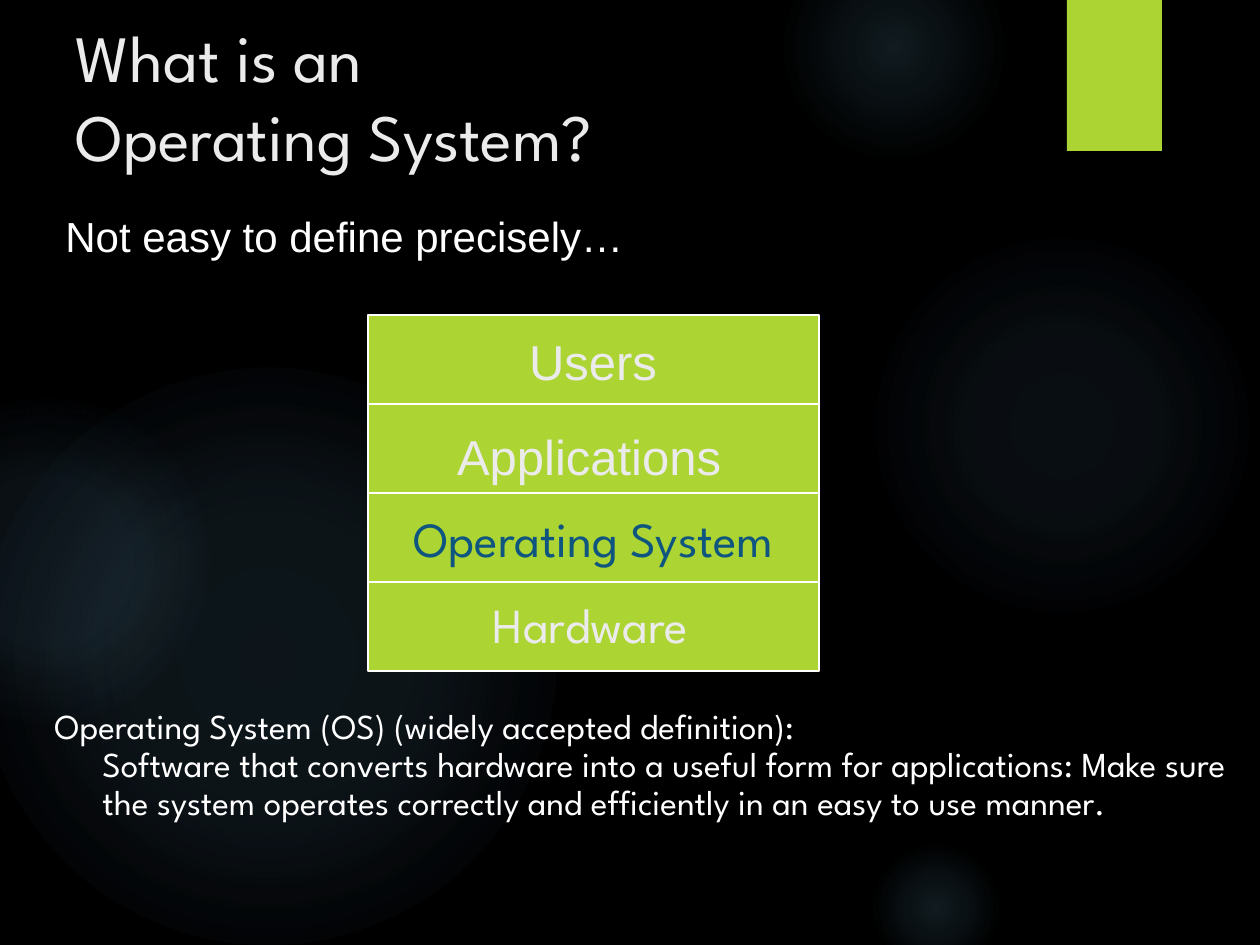
import pptx
import pptx.dml.color
import pptx.enum.shapes
import pptx.enum.text
import pptx.oxml
import pptx.oxml.ns
import pptx.util

PX = 914400 / 126
COLORS = {"black": "000000", "glow": "7AC4F0", "lime": "ACD433",
          "white": "FFFFFF", "pale": "EBEBEB", "blue": "0E5580"}
SANS, DISPLAY = "Arial", "League Spartan"
SHAPE = pptx.enum.shapes.MSO_SHAPE
ALIGN = pptx.enum.text.PP_ALIGN
ANCHOR = pptx.enum.text.MSO_ANCHOR


def emu(px):
    return pptx.util.Emu(round(px * PX))


def rgb(name):
    return pptx.dml.color.RGBColor.from_string(COLORS[name])


class Deck:
    def __init__(self, width, height):
        self.prs = pptx.Presentation()
        self.prs.slide_width, self.prs.slide_height = emu(width), emu(height)
        self.s = self.prs.slides.add_slide(self.prs.slide_layouts[5])
        fill = self.s.background.fill
        fill.solid()
        fill.fore_color.rgb = rgb("black")

    def paragraph(self, tf, lines, size, font, color, align=ALIGN.LEFT,
                  anchor=ANCHOR.TOP, wrap=True):
        """Fill the frame with one paragraph whose lines are parted by breaks."""
        tf.word_wrap = wrap
        tf.auto_size = pptx.enum.text.MSO_AUTO_SIZE.NONE
        tf.vertical_anchor = anchor
        p = tf.paragraphs[0]
        p.alignment = align
        for i, line in enumerate(lines):
            if i:
                p.add_line_break()
            r = p.add_run()
            r.text = line
            r.font.size = pptx.util.Pt(size)
            r.font.name = font
            r.font.color.rgb = rgb(color)
        return p

    def title(self, box, lines):
        sp = self.s.shapes.title
        sp.left, sp.top, sp.width, sp.height = map(emu, box)
        self.paragraph(sp.text_frame, lines, 37.8, DISPLAY, "pale")

    def text(self, box, lines, size, font, color, **layout):
        sp = self.s.shapes.add_textbox(*map(emu, box))
        return self.paragraph(sp.text_frame, lines, size, font, color,
                              **layout)

    def hanging(self, box, lines, size, font):
        """Add text whose later lines are indented."""
        p = self.text(box, lines, size, font, "white")
        p.line_spacing = 0.9
        pPr = p._p.get_or_add_pPr()
        pPr.set("marL", str(emu(48)))
        pPr.set("indent", str(-emu(48)))

    def shape(self, kind, box):
        sp = self.s.shapes.add_shape(kind, *map(emu, box))
        sp.shadow.inherit = False
        sp.line.fill.background()
        return sp

    def block(self, box, outlined=False):
        sp = self.shape(SHAPE.RECTANGLE, box)
        sp.fill.solid()
        sp.fill.fore_color.rgb = rgb("lime")
        if outlined:
            sp.line.color.rgb = rgb("white")
            sp.line.width = pptx.util.Pt(0.75)
        return sp

    def glow(self, left, top, size, inner, middle, edge):
        """Add a circle that fades out at edge percent of its radius."""
        sp = self.shape(SHAPE.OVAL, (left, top, size, size))
        stops = "".join(
            f'<a:gs pos="{pos * 1000}"><a:srgbClr val="{COLORS["glow"]}">'
            f'<a:alpha val="{alpha * 1000}"/></a:srgbClr></a:gs>'
            for pos, alpha in ((0, inner), (36, middle), (edge, 0)))
        grad = pptx.oxml.parse_xml(
            f'<a:gradFill {pptx.oxml.ns.nsdecls("a")} rotWithShape="1">'
            f'<a:gsLst>{stops}</a:gsLst><a:path path="circle">'
            '<a:fillToRect l="50000" t="50000" r="50000" b="50000"/>'
            '</a:path></a:gradFill>')
        sp._element.spPr.find(pptx.oxml.ns.qn("a:prstGeom")).addnext(grad)


def main():
    deck = Deck(1260, 945)
    for glow in ((868, 231, 388, 7, 6, 69), (784, -63, 220, 14, 7, 73),
                 (868, 840, 136, 14, 7, 66), (-21, 368, 577, 11, 10, 75),
                 (-116, 399, 325, 8, 8, 72)):
        deck.glow(*glow)
    deck.block((1067, 0, 95, 151))

    deck.title((63, 10, 1155, 158), ["What is an", "Operating System?"])
    deck.hanging((42, 703, 1218, 210), [
        "Operating System (OS) (widely accepted definition):",
        "Software that converts hardware into a useful form for applications: "
        "Make sure the system operates correctly and efficiently in an easy "
        "to use manner."], 20, DISPLAY)
    deck.hanging((53, 210, 1071, 73), ["Not easy to define precisely…"],
                 24, SANS)

    layers = [deck.block((368, 315 + 89 * i, 451, 89), outlined=True)
              for i in range(4)]
    deck.paragraph(layers[2].text_frame, ["Operating System"], 28, DISPLAY,
                   "blue", align=ALIGN.CENTER, anchor=ANCHOR.MIDDLE,
                   wrap=False)
    for label, font, box in (("Users", SANS, (483, 325, 220, 72)),
                             ("Applications", SANS, (441, 420, 296, 72)),
                             ("Hardware", DISPLAY, (473, 588, 235, 72))):
        deck.text(box, [label], 28, font, "pale", align=ALIGN.CENTER,
                  wrap=False)
    deck.prs.save("out.pptx")


if __name__ == "__main__":
    main()
